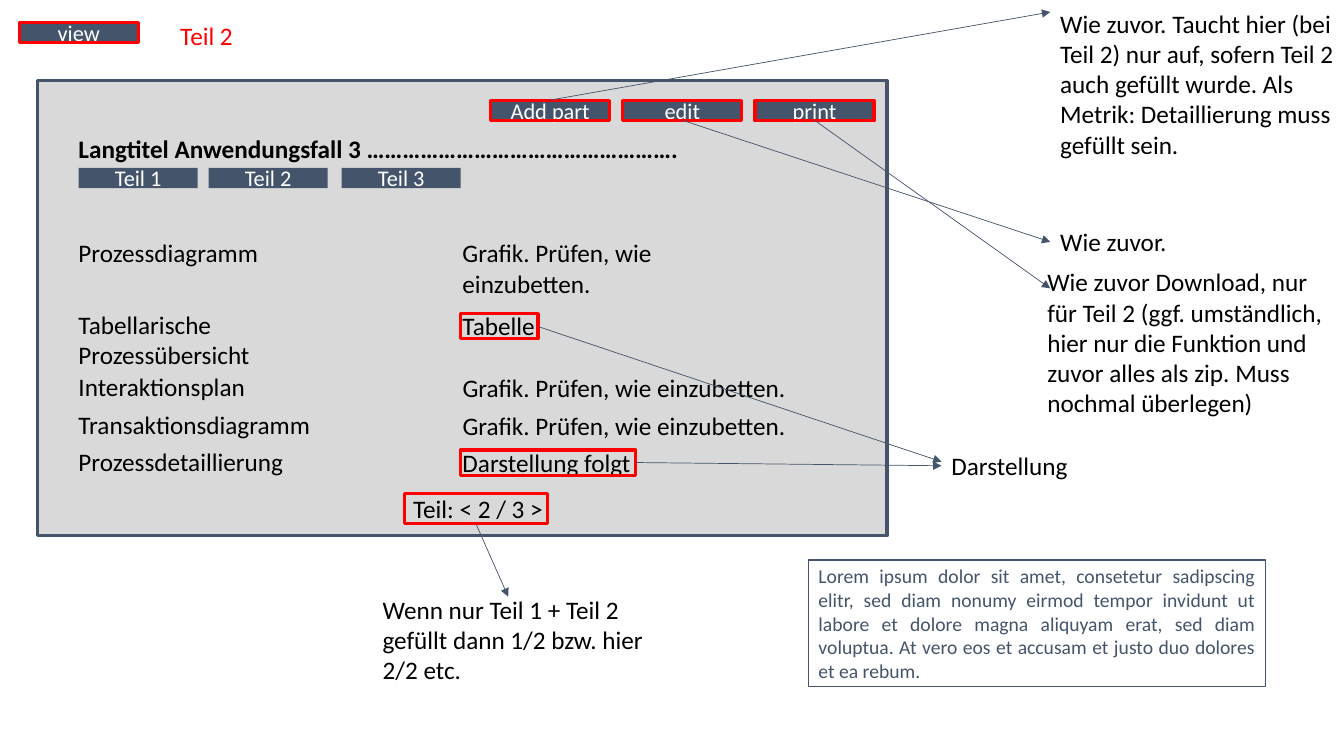
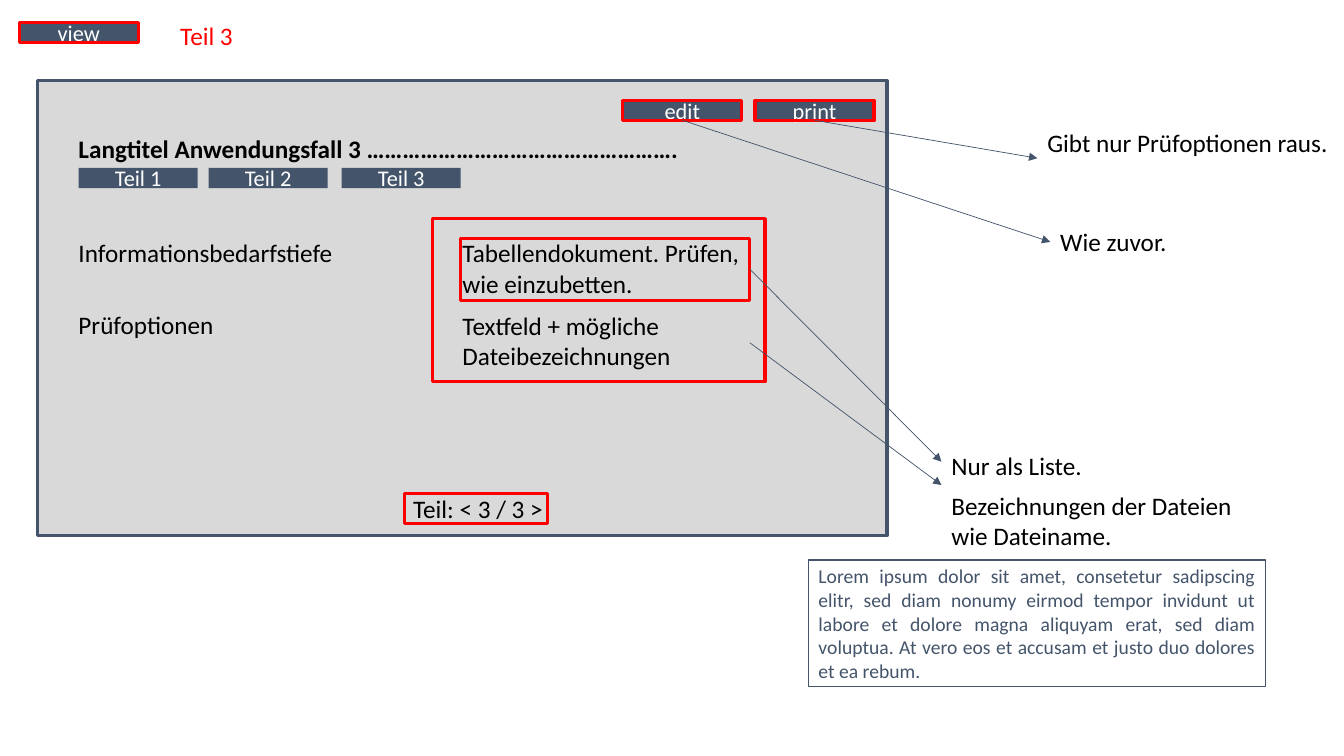
from pptx import Presentation
from pptx import util as u
from pptx.dml.color import RGBColor
from pptx.enum import shapes, text
from pptx.oxml import ns, xmlchemy

Pt = u.Pt
FONT = "Calibri"
COLORS = {"navy": "44546A", "red": "FF0000", "panel": "D9D9D9",
          "white": "FFFFFF", "black": "000000"}

# Shared geometry in points
BUTTON_W, BUTTON_H = 85, 14.4
TOOL_Y, TOOL_X, TOOL_STEP = 71.5, 350.5, 94.4
TOOLS = ["Add part", "edit", "print"]
TABS = {"Teil 1": 56.2, "Teil 2": 149, "Teil 3": 244.1}
LABEL_X, VALUE_X = 49, 323.3
LABEL_W, VALUE_W, WIDE_VALUE_W, NOTE_W = 200, 237.6, 265.7, 214.6
TOOL_NOTE_X, VALUE_NOTE_X = 750.2, 672.5
LOREM = ("Lorem ipsum dolor sit amet, consetetur sadipscing elitr, sed diam nonumy "
         "eirmod tempor invidunt ut labore et dolore magna aliquyam erat, sed diam "
         "voluptua. At vero eos et accusam et justo duo dolores et ea rebum.")


def rgb(name):
    return RGBColor.from_string(COLORS[name])


def style(p, size, color, bold=False, align=None):
    p.font.name, p.font.size, p.font.bold = FONT, Pt(size), bold
    p.font.color.rgb = rgb(color)
    p.alignment = align


def add_box(slide, x, y, w, h, fill=None, line=None, width=2.25):
    sp = slide.shapes.add_shape(shapes.MSO_SHAPE.RECTANGLE, Pt(x), Pt(y), Pt(w), Pt(h))
    sp.shadow.inherit = False
    if fill:
        sp.fill.solid()
        sp.fill.fore_color.rgb = rgb(fill)
    else:
        sp.fill.background()
    if line:
        sp.line.color.rgb = rgb(line)
        sp.line.width = Pt(width)
    else:
        sp.line.fill.background()
    return sp


def add_frame(slide, x, y, w, h):
    return add_box(slide, x, y, w, h, line="red")


def fill_box(sp, content, size, color, align):
    tf = sp.text_frame
    tf.word_wrap = True
    tf.vertical_anchor = text.MSO_ANCHOR.MIDDLE
    p = tf.paragraphs[0]
    p.text = content
    style(p, size, color, align=align)


def add_button(slide, label, x, y, framed=True):
    sp = add_box(slide, x, y, BUTTON_W, BUTTON_H, fill="navy")
    fill_box(sp, label, 16, "white", text.PP_ALIGN.CENTER)
    if framed:
        add_frame(slide, x, y + 0.3, BUTTON_W, BUTTON_H)


def add_text(slide, content, x, y, w, lines=1, color="black", bold=False, wrap=True):
    sp = slide.shapes.add_textbox(Pt(x), Pt(y), Pt(w), Pt(7.2 + 21.9 * lines))
    tf = sp.text_frame
    tf.word_wrap = wrap
    tf.auto_size = text.MSO_AUTO_SIZE.SHAPE_TO_FIT_TEXT
    p = tf.paragraphs[0]
    p.text = content
    style(p, 18, color, bold)


def add_arrow(slide, x1, y1, x2, y2):
    c = slide.shapes.add_connector(shapes.MSO_CONNECTOR.STRAIGHT,
                                   Pt(x1), Pt(y1), Pt(x2), Pt(y2))
    c.line.color.rgb = rgb("navy")
    c.line.width = Pt(0.5)
    sp_pr = c._element.spPr
    tail = xmlchemy.OxmlElement("a:tailEnd")
    tail.set("type", "triangle")
    sp_pr.find(ns.qn("a:ln")).append(tail)
    sp_pr.append(xmlchemy.OxmlElement("a:effectLst"))


def add_tool_arrow(slide, tool, x, y, from_top=False):
    start_x = TOOL_X + TOOLS.index(tool) * TOOL_STEP + BUTTON_W / 2
    add_arrow(slide, start_x, TOOL_Y + (0 if from_top else BUTTON_H), x, y)


def add_row(slide, y, label, value, label_lines=1, value_lines=1, value_w=VALUE_W):
    add_text(slide, label, LABEL_X, y, LABEL_W, label_lines)
    add_text(slide, value, VALUE_X, y + 0.6, value_w, value_lines)


def add_view(prs, part, tools):
    """Window with heading, tabs, tools and pager, shared by all slides."""
    slide = prs.slides.add_slide(prs.slide_layouts[6])
    add_box(slide, 26.6, 57.8, 607, 324.7, fill="panel", line="navy")
    add_button(slide, "view", 13.7, 15.8)
    add_text(slide, f"Teil {part}", 121.7, 11, 52.6, color="red", wrap=False)
    for tool in tools:
        add_button(slide, tool, TOOL_X + TOOLS.index(tool) * TOOL_STEP, TOOL_Y)
    add_text(slide, "Langtitel Anwendungsfall 3 …………………………………………….",
             LABEL_X, 91.5, 524, bold=True)
    for label, x in TABS.items():
        add_button(slide, label, x, 120, framed=False)
    add_text(slide, f"Teil: < {part} / 3 >", 288, 348.7, 108.7, wrap=False)
    add_frame(slide, 288.8, 352.2, 102.4, 21.8)
    sp = add_box(slide, 577.6, 400, 326.2, 90.3, fill="white", line="navy", width=1)
    fill_box(sp, LOREM, 14, "navy", text.PP_ALIGN.JUSTIFY)
    return slide


def build_part_2(prs):
    slide = add_view(prs, 2, TOOLS)
    # Content rows
    graphic = "Grafik. Prüfen, wie einzubetten."
    add_row(slide, 165.7, "Prozessdiagramm", graphic, value_lines=2)
    add_row(slide, 217.5, "Tabellarische Prozessübersicht", "Tabelle", label_lines=2)
    add_row(slide, 261.6, "Interaktionsplan", graphic, value_w=WIDE_VALUE_W)
    add_row(slide, 288.8, "Transaktionsdiagramm", graphic, value_w=WIDE_VALUE_W)
    add_row(slide, 315.5, "Prozessdetaillierung", "Darstellung folgt")
    add_frame(slide, 329, 224, 55.4, 18)
    add_frame(slide, 329, 321.4, 125.3, 18)
    # Notes
    add_text(slide, "Wie zuvor. Taucht hier (bei Teil 2) nur auf, sofern Teil 2 auch gefüllt "
             "wurde. Als Metrik: Detaillierung muss gefüllt sein.",
             TOOL_NOTE_X, 2.2, NOTE_W, 5)
    add_text(slide, "Wie zuvor.", TOOL_NOTE_X, 158, NOTE_W)
    add_text(slide, "Wie zuvor Download, nur für Teil 2 (ggf. umständlich, hier nur die "
             "Funktion und zuvor alles als zip. Muss nochmal überlegen)",
             741, 187, NOTE_W, 5)
    add_text(slide, "Darstellung", VALUE_NOTE_X, 318.2, NOTE_W)
    add_text(slide, "Wenn nur Teil 1 + Teil 2 gefüllt dann 1/2 bzw. hier 2/2 etc.",
             266.2, 420.8, NOTE_W, 3)
    # Arrows
    add_tool_arrow(slide, "Add part", TOOL_NOTE_X, 8.6, from_top=True)
    add_tool_arrow(slide, "edit", TOOL_NOTE_X, 172.8)
    add_tool_arrow(slide, "print", TOOL_NOTE_X, 206)
    add_arrow(slide, 384.5, 233.3, VALUE_NOTE_X, 329.8)
    add_arrow(slide, 454.3, 330.4, VALUE_NOTE_X, 332.7)
    add_arrow(slide, 340, 374.2, 363, 426.2)


def build_part_3(prs):
    slide = add_view(prs, 3, TOOLS[1:])
    # Content rows
    add_row(slide, 165.7, "Informationsbedarfstiefe",
            "Tabellendokument. Prüfen, wie einzubetten.", value_lines=2)
    add_row(slide, 217.5, "Prüfoptionen", "Textfeld + mögliche Dateibezeichnungen",
            value_lines=2)
    add_frame(slide, 329, 170.6, 206.6, 43.9)
    add_frame(slide, 308.9, 156.2, 237.6, 116.6)
    # Notes
    add_text(slide, "Gibt nur Prüfoptionen raus.", 741, 87.2, NOTE_W)
    add_text(slide, "Wie zuvor.", TOOL_NOTE_X, 158, NOTE_W)
    add_text(slide, "Nur als Liste.", VALUE_NOTE_X, 318.2, NOTE_W)
    add_text(slide, "Bezeichnungen der Dateien wie Dateiname.",
             VALUE_NOTE_X, 346.5, NOTE_W, 2)
    # Arrows
    add_tool_arrow(slide, "edit", TOOL_NOTE_X, 172.8)
    add_tool_arrow(slide, "print", 741, 113)
    add_arrow(slide, 535.6, 192.3, VALUE_NOTE_X, 329.8)
    add_arrow(slide, 535.6, 244.8, VALUE_NOTE_X, 346.5)


def main():
    prs = Presentation()
    prs.slide_width, prs.slide_height = Pt(960), Pt(540)
    build_part_2(prs)
    build_part_3(prs)
    prs.save("out.pptx")


if __name__ == "__main__":
    main()
